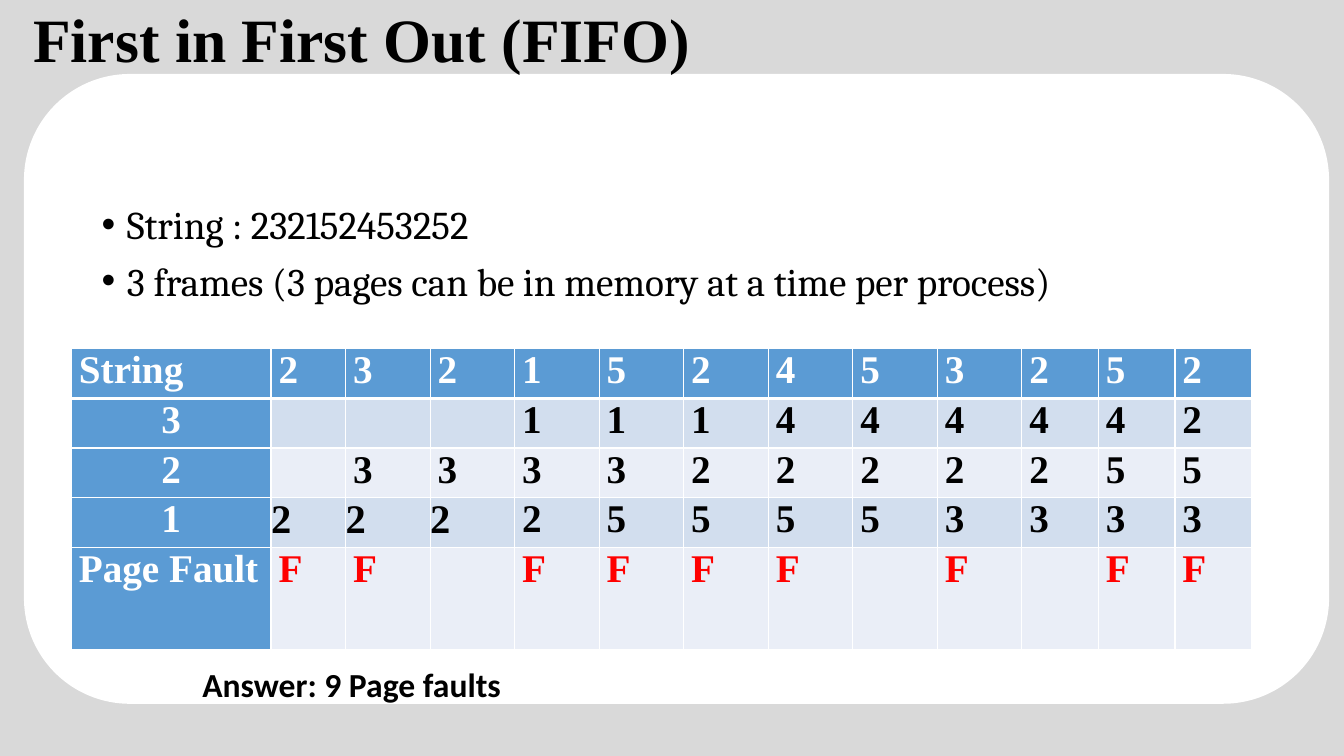
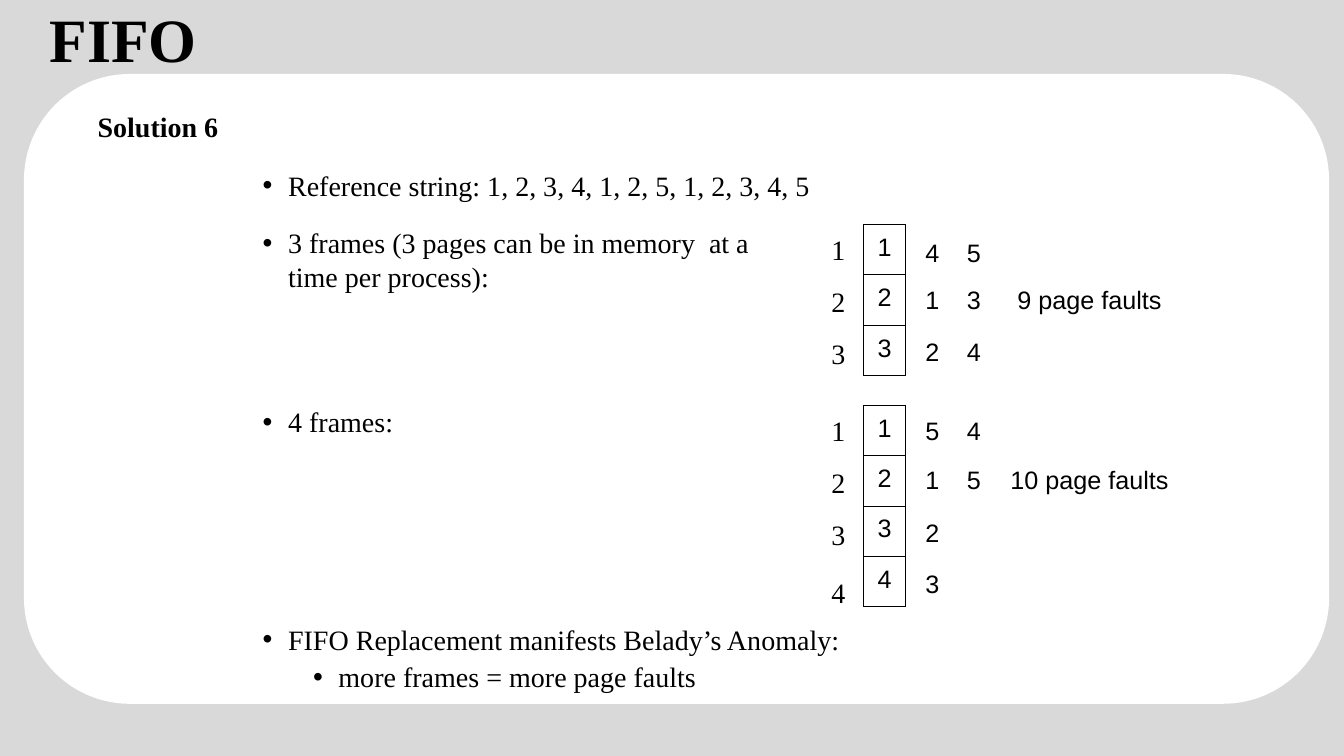
from dataclasses import dataclass

import pptx
import pptx.dml.color
import pptx.enum.shapes
import pptx.enum.text
import pptx.oxml
import pptx.oxml.ns
import pptx.util
from pptx.util import Cm, Pt

COLORS = {
    "background": "D9D9D9",
    "white": "FFFFFF",
    "black": "000000",
    "header": "5B9BD4",
    "band_dark": "D2DEEE",
    "band_light": "EAEEF7",
    "fault": "FF0000",
}
SERIF = "Times New Roman"
ALIGN = pptx.enum.text.PP_ALIGN
HANGING = 0.64


@dataclass(frozen=True)
class Box:
    """Position and size in centimetres."""
    left: float
    top: float
    width: float
    height: float

    def lengths(self) -> tuple:
        return Cm(self.left), Cm(self.top), Cm(self.width), Cm(self.height)


@dataclass(frozen=True)
class Item:
    text: str
    before: float = 0
    level: int = 0


@dataclass(frozen=True)
class FrameColumn:
    """Page frames in memory; gaps are the points above each label."""
    top: float
    label_gaps: tuple[float, ...]


@dataclass(frozen=True)
class LoadRow:
    height: float
    inset: float
    texts: tuple[str, str, str]


PAGE_ROWS = [
    ("String", "232152453252", 1.25),
    ("3", "   111444442", 1.25),
    ("2", " 33332222255", 1.25),
    ("1", "222255553333", 1.25),
    ("Page Fault", "FF FFFF F FF", 2.57),
]
PAGE_WIDTHS = [5.03, 1.88] + [2.13] * 8 + [1.93] * 3
FLUSH_CELLS = {(3, 1), (3, 2), (3, 3)}

FRAME_COLUMNS = [
    FrameColumn(5.65, (0, 13.2, 13.2)),
    FrameColumn(10.21, (0, 13.2, 13.2, 17.4)),
]
LOAD_ROWS = [
    LoadRow(0.97, 0, ("4", "5", "")),
    LoadRow(1.27, 0.2, ("1", "3", "9 page faults")),
    LoadRow(1.65, 0.25, ("2", "4", "")),
    LoadRow(1.63, 0.58, ("5", "4", "")),
    LoadRow(1.3, 0.2, ("1", "5", "10 page faults")),
    LoadRow(1.27, 0.23, ("2", "", "")),
    LoadRow(0.99, 0.23, ("3", "", "")),
]
LOAD_WIDTHS = [0.79, 1.07, 4.45]
LOAD_INDENTS = [0.1, 0, 0.3]

SOLUTION_ITEMS = [
    Item("Reference string: 1, 2, 3, 4, 1, 2, 5, 1, 2, 3, 4, 5"),
    Item("3 frames (3 pages can be in memory  at a\vtime per process):", 17),
    Item("4 frames:", 80),
    Item("FIFO Replacement manifests Belady’s Anomaly:", 131.3),
    Item("more frames = more page faults", 2.8, 1),
]


def rgb(name: str) -> pptx.dml.color.RGBColor:
    return pptx.dml.color.RGBColor.from_string(COLORS[name])


def write(paragraph, text: str, *, font: str = SERIF, size: float = 20,
          bold: bool = False, color: str = "black", align=ALIGN.LEFT,
          before: float = 0, indent: float = 0, bullet: bool = False) -> None:
    """Fill a paragraph; a bullet hangs to the left of the indent."""
    paragraph.text = text
    paragraph.alignment = align
    paragraph.space_before = Pt(before)
    for run in paragraph.runs:
        run.font.name = font
        run.font.size = Pt(size)
        run.font.bold = bold
        run.font.color.rgb = rgb(color)
    properties = paragraph._p.get_or_add_pPr()
    properties.set("marL", str(Cm(indent)))
    properties.set("indent", str(Cm(-HANGING if bullet else 0)))
    if bullet:
        for tag, key, value in (("buFont", "typeface", "Arial"), ("buChar", "char", "•")):
            mark = pptx.oxml.parse_xml(
                f'<a:{tag} {pptx.oxml.ns.nsdecls("a")} {key}="{value}"/>')
            properties.append(mark)


def prepare_frame(shape):
    """Give a text shape no margins, top anchoring and wrapping."""
    frame = shape.text_frame
    frame.margin_left = frame.margin_right = 0
    frame.margin_top = frame.margin_bottom = 0
    frame.vertical_anchor = pptx.enum.text.MSO_ANCHOR.TOP
    frame.auto_size = pptx.enum.text.MSO_AUTO_SIZE.NONE
    frame.word_wrap = True
    return frame


def place(shape, box: Box):
    shape.left, shape.top, shape.width, shape.height = box.lengths()
    return prepare_frame(shape)


def add_text(slide, box: Box, text: str, **text_format) -> None:
    frame = prepare_frame(slide.shapes.add_textbox(*box.lengths()))
    write(frame.paragraphs[0], text, **text_format)


def add_slide(presentation, title: str, title_indent: float = 0):
    slide = presentation.slides.add_slide(presentation.slide_layouts[1])
    frame = place(slide.shapes.title, Box(0.84, 0.03, 16.64, 1.9))
    write(frame.paragraphs[0], title, size=44, bold=True, indent=title_indent)
    return slide


def fill_list(slide, box: Box, items: list[Item], **text_format) -> None:
    frame = place(slide.placeholders[1], box)
    for index, item in enumerate(items):
        paragraph = frame.add_paragraph() if index else frame.paragraphs[0]
        paragraph.level = item.level
        write(paragraph, item.text, before=item.before, bullet=True,
              indent=0.66 + 1.27 * item.level, **text_format)


def set_border(cell, side: str, color: str | None, width: float) -> None:
    paint = (f'<a:solidFill><a:srgbClr val="{COLORS[color]}"/></a:solidFill>'
             if color else "<a:noFill/>")
    line = pptx.oxml.parse_xml(
        f'<a:ln{side} {pptx.oxml.ns.nsdecls("a")} w="{Pt(width)}">{paint}</a:ln{side}>')
    cell._tc.get_or_add_tcPr().append(line)


def add_table(slide, left: float, top: float, widths: list[float], heights: list[float]):
    box = Box(left, top, sum(widths), sum(heights))
    table = slide.shapes.add_table(len(heights), len(widths), *box.lengths()).table
    table.first_row = table.horz_banding = False
    for column, width in zip(table.columns, widths):
        column.width = Cm(width)
    for row, height in zip(table.rows, heights):
        row.height = Cm(height)
    return table


def fill_cell(cell, text: str, *, fill: str | None = None, border: str | None = None,
              top_width: float = 1, bottom_width: float = 1, side_width: float = 1,
              inset_left: float = 0, inset_top: float = 0, **text_format) -> None:
    cell.margin_left, cell.margin_top = Cm(inset_left), Cm(inset_top)
    cell.margin_right = cell.margin_bottom = 0
    for side, width in zip("LRTB", (side_width, side_width, top_width, bottom_width)):
        set_border(cell, side, border, width)
    if fill:
        cell.fill.solid()
        cell.fill.fore_color.rgb = rgb(fill)
    else:
        cell.fill.background()
    if text:
        write(cell.text_frame.paragraphs[0], text, **text_format)


def add_page_table(slide) -> None:
    heights = [height for _, _, height in PAGE_ROWS]
    table = add_table(slide, 1.8, 8.79, PAGE_WIDTHS, heights)
    last = len(PAGE_ROWS) - 1
    for row, (label, pages, _) in enumerate(PAGE_ROWS):
        for column, text in enumerate([label, *pages]):
            header = row == 0 or column == 0
            flush = (row, column) in FLUSH_CELLS
            centered = column == 0 and 0 < row < last
            band = "band_dark" if row % 2 else "band_light"
            color = "white" if header else "fault" if row == last else "black"
            fill_cell(table.cell(row, column), text.strip(),
                      fill="header" if header else band, border="white",
                      top_width=3 if row == 1 else 1,
                      bottom_width=3 if row == 0 else 1,
                      inset_left=0 if flush or centered else 0.19,
                      size=29 if flush else 28, bold=True, color=color,
                      align=ALIGN.CENTER if centered else ALIGN.LEFT)


def add_frame_column(slide, frames: FrameColumn) -> None:
    count = len(frames.label_gaps)
    table = add_table(slide, 21.76, frames.top, [1.07], [1.27] * count)
    label_box = Box(20.95, frames.top + 0.21, 0.5, 1.27 * count)
    labels = prepare_frame(slide.shapes.add_textbox(*label_box.lengths()))
    for index, gap in enumerate(frames.label_gaps):
        number = str(index + 1)
        fill_cell(table.cell(index, 0), number, border="black", top_width=0.75,
                  bottom_width=0.75, side_width=0.75, inset_top=0.23,
                  font="Arial", size=18, align=ALIGN.CENTER)
        paragraph = labels.add_paragraph() if index else labels.paragraphs[0]
        write(paragraph, number, before=gap)


def add_load_table(slide) -> None:
    """Show the pages loaded later into each frame and the fault totals."""
    table = add_table(slide, 23.22, 6.05, LOAD_WIDTHS, [row.height for row in LOAD_ROWS])
    for row, load in enumerate(LOAD_ROWS):
        for column, text in enumerate(load.texts):
            fill_cell(table.cell(row, column), text, inset_top=load.inset,
                      inset_left=LOAD_INDENTS[column], font="Arial", size=18,
                      align=ALIGN.CENTER if column else ALIGN.LEFT)


def style_master(presentation, slide) -> None:
    """Put the grey background and the white panel on the slide master."""
    master = presentation.slide_master
    master.background.fill.solid()
    master.background.fill.fore_color.rgb = rgb("background")
    panel = slide.shapes.add_shape(pptx.enum.shapes.MSO_SHAPE.ROUNDED_RECTANGLE,
                                   *Box(0.64, 1.9, 32.82, 15.8).lengths())
    panel.shadow.inherit = False
    panel.fill.solid()
    panel.fill.fore_color.rgb = rgb("white")
    panel.line.color.rgb = rgb("white")
    panel.line.width = Pt(2)
    master.placeholders[0].element.getparent().insert(2, panel.element)


def build_example(presentation) -> None:
    slide = add_slide(presentation, "First in First Out (FIFO)")
    style_master(presentation, slide)
    items = [Item("String : 232152453252"),
             Item("3 frames (3 pages can be in memory at a time per process)", 6.7)]
    fill_list(slide, Box(2.54, 5.05, 25.25, 2.65), items, font="Cambria", size=28)
    add_page_table(slide)
    add_text(slide, Box(5.1, 16.74, 9.22, 1.04), "Answer: 9 Page faults",
             font="Calibri", size=24, bold=True)


def build_solution(presentation) -> None:
    slide = add_slide(presentation, "FIFO", title_indent=0.41)
    add_text(slide, Box(2.46, 2.77, 16.26, 0.86), "Solution 6", bold=True)
    fill_list(slide, Box(6.6, 4.24, 14.8, 13.3), SOLUTION_ITEMS)
    for frames in FRAME_COLUMNS:
        add_frame_column(slide, frames)
    add_load_table(slide)


def main() -> None:
    presentation = pptx.Presentation()
    presentation.slide_width, presentation.slide_height = Cm(33.87), Cm(19.05)
    build_example(presentation)
    build_solution(presentation)
    presentation.save("out.pptx")


if __name__ == "__main__":
    main()
